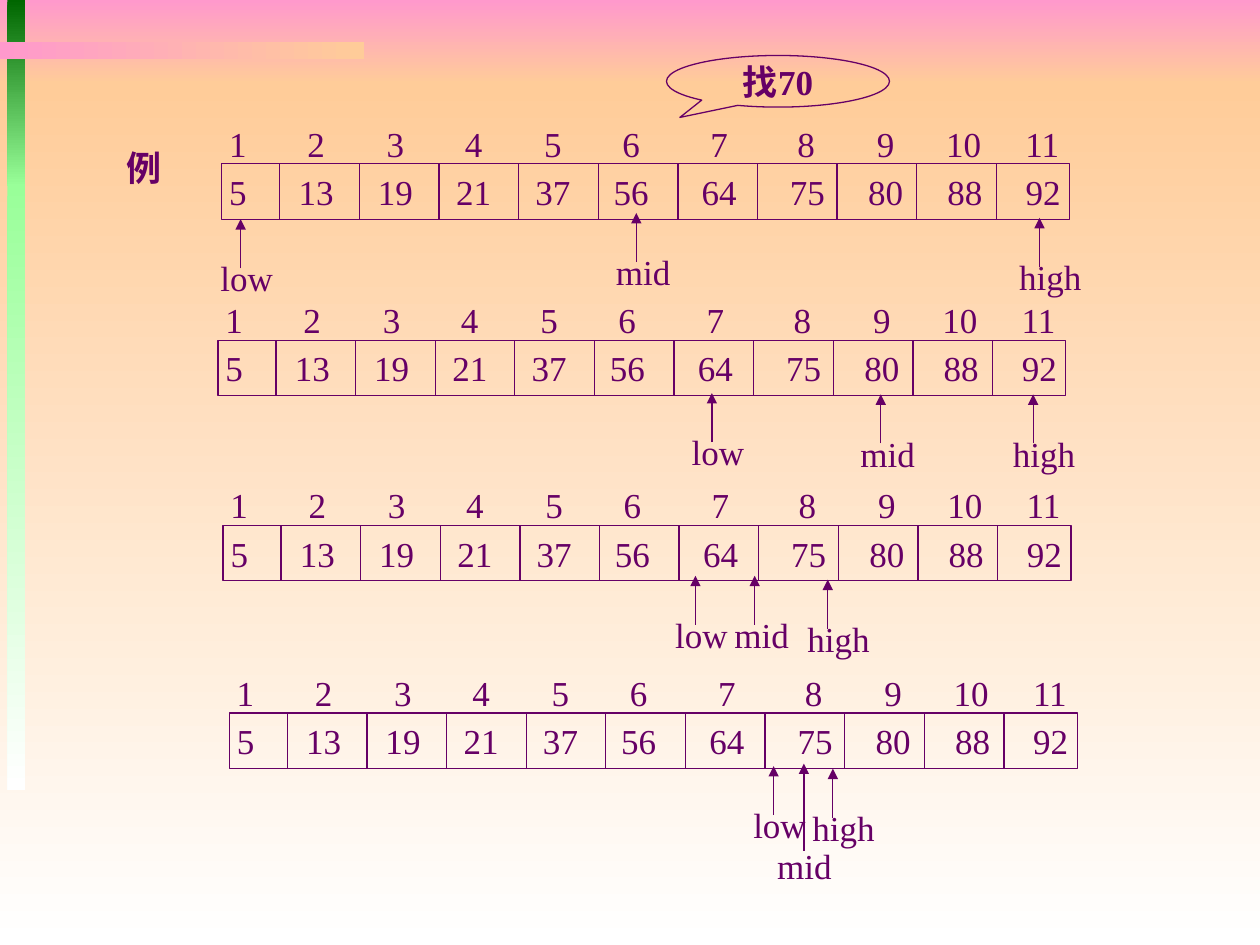
from dataclasses import dataclass

from lxml import etree
from pptx import Presentation
from pptx import util as u
from pptx.dml.color import RGBColor
from pptx.enum import shapes, text
from pptx.oxml import ns

COLORS = {"ink": "660066", "pink": "FF99CC", "peach": "FFCC99", "white": "FFFFFF",
          "green": "006600", "mint": "99FF99"}
FONT = "Times New Roman"
INDEXES = [str(number) for number in range(1, 12)]
INDEX_STOPS = [0.62, 1.25, 1.87, 2.5, 3.12, 3.82, 4.51, 5.14, 5.69, 6.32]
VALUES = ["5", "13", "19", "21", "37", "56", "64", "75", "80", "88", "92"]
VALUE_STOPS = [0.55, 1.18, 1.8, 2.43, 3.05, 3.75, 4.45, 5.07, 5.7, 6.32]
LABEL_WIDTHS = {"low": 0.62, "mid": 0.64, "high": 0.7}
ROW_WIDTH, ROW_HEIGHT = 6.73, 0.44
FIRST_DIVIDER, DIVIDER_STEP = 0.46, 0.632


@dataclass
class Band:
    left: float
    top: float
    width: float
    height: float
    start: str
    end: str
    angle: int = 270


@dataclass
class Pointer:
    name: str
    x: float
    tip: float
    length: float = 0.39
    label_dx: float = -0.26
    label_dy: float = -0.14


@dataclass
class Step:
    left: float
    top: float
    pointers: list[Pointer]


BANDS = [
    Band(0, 0, 10, 0.67, "pink", "peach"),
    Band(0, 0.67, 10, 6.83, "peach", "white"),
    Band(0.06, 0, 0.14, 1.48, "green", "mint"),
    Band(0.06, 1.46, 0.14, 4.81, "mint", "white"),
    Band(0, 0.33, 2.89, 0.14, "pink", "peach", 0),
]
STEPS = [
    Step(1.76, 1.3, [Pointer("low", 1.91, 1.74), Pointer("high", 8.25, 1.73),
                     Pointer("mid", 5.05, 1.69)]),
    Step(1.73, 2.7, [Pointer("low", 5.65, 3.12), Pointer("high", 8.2, 3.13),
                     Pointer("mid", 6.99, 3.13)]),
    Step(1.77, 4.17, [Pointer("low", 5.52, 4.57), Pointer("high", 6.57, 4.6),
                      Pointer("mid", 5.99, 4.57)]),
    Step(1.82, 5.66, [Pointer("low", 6.14, 6.08), Pointer("high", 6.61, 6.1),
                      Pointer("mid", 6.38, 6.06, 0.69, -0.31, -0.1)]),
]


def color(name: str) -> RGBColor:
    return RGBColor.from_string(COLORS[name])


def write(shape, words: str, bold: bool = False, stops: tuple | list = ()) -> None:
    """Fill a shape with one line of text, aligned at tab stops where given."""
    frame = shape.text_frame
    frame.word_wrap = bool(stops)
    para = frame.paragraphs[0]
    if stops:
        tabs = etree.SubElement(para._p.get_or_add_pPr(), ns.qn("a:tabLst"))
        for stop in stops:
            etree.SubElement(tabs, ns.qn("a:tab"), pos=str(u.Inches(stop)), algn="l")
    span = para.add_run()
    span.text = words
    span.font.name = FONT
    span.font.size = u.Pt(20)
    span.font.bold = bold
    span.font.color.rgb = color("ink")


def add_text(page, left: float, top: float, width: float, words: str,
             bold: bool = False, stops: tuple | list = ()) -> None:
    box = page.shapes.add_textbox(u.Inches(left), u.Inches(top),
                                  u.Inches(width), u.Inches(0.44))
    box.text_frame.auto_size = text.MSO_AUTO_SIZE.SHAPE_TO_FIT_TEXT
    write(box, words, bold, stops)


def add_shape(page, kind, left: float, top: float, width: float, height: float):
    shape = page.shapes.add_shape(kind, u.Inches(left), u.Inches(top),
                                  u.Inches(width), u.Inches(height))
    shape.shadow.inherit = False
    return shape


def add_band(page, band: Band) -> None:
    shape = add_shape(page, shapes.MSO_SHAPE.RECTANGLE,
                      band.left, band.top, band.width, band.height)
    shape.line.fill.background()
    shape.fill.gradient()
    shape.fill.gradient_angle = band.angle
    for stop, name in zip(shape.fill.gradient_stops, (band.start, band.end)):
        stop.color.rgb = color(name)


def add_outline(page, kind, left: float, top: float, width: float, height: float):
    """Add an unfilled shape with a thin ink line and middle-anchored text."""
    shape = add_shape(page, kind, left, top, width, height)
    shape.fill.background()
    shape.line.color.rgb = color("ink")
    shape.line.width = u.Pt(0.75)
    shape.text_frame.vertical_anchor = text.MSO_ANCHOR.MIDDLE
    return shape


def add_line(page, x: float, start: float, end: float, arrow: bool = False) -> None:
    line = page.shapes.add_connector(shapes.MSO_CONNECTOR.STRAIGHT, u.Inches(x),
                                     u.Inches(start), u.Inches(x), u.Inches(end))
    line.line.color.rgb = color("ink")
    line.line.width = u.Pt(0.75)
    if arrow:
        etree.SubElement(line.line._get_or_add_ln(), ns.qn("a:tailEnd"), type="triangle")
    etree.SubElement(line._element.spPr, ns.qn("a:effectLst"))


def add_step(page, step: Step) -> None:
    add_text(page, step.left - 0.04, step.top - 0.38, 6.81,
             "\t".join(INDEXES), stops=INDEX_STOPS)
    row = add_outline(page, shapes.MSO_SHAPE.RECTANGLE,
                      step.left, step.top, ROW_WIDTH, ROW_HEIGHT)
    row.text_frame.margin_left = row.text_frame.margin_right = u.Inches(0.06)
    row.text_frame.paragraphs[0].alignment = text.PP_ALIGN.LEFT
    write(row, "\t".join(VALUES), stops=VALUE_STOPS)
    for number in range(len(VALUES) - 1):
        x = step.left + FIRST_DIVIDER + number * DIVIDER_STEP
        add_line(page, x, step.top, step.top + ROW_HEIGHT)
    for pointer in step.pointers:
        foot = pointer.tip + pointer.length
        add_line(page, pointer.x, foot, pointer.tip, arrow=True)
        add_text(page, pointer.x + pointer.label_dx, foot + pointer.label_dy,
                 LABEL_WIDTHS[pointer.name], pointer.name)


def main() -> None:
    deck = Presentation()
    deck.slide_width, deck.slide_height = u.Inches(10), u.Inches(7.5)
    page = deck.slides.add_slide(deck.slide_layouts[6])
    for band in BANDS:
        add_band(page, band)
    add_text(page, 0.91, 1.11, 0.54, "例", bold=True)
    callout = add_outline(page, shapes.MSO_SHAPE.OVAL_CALLOUT, 5.29, 0.44, 1.77, 0.41)
    callout.adjustments[0], callout.adjustments[1] = -0.44, 0.7
    callout.text_frame.paragraphs[0].alignment = text.PP_ALIGN.CENTER
    write(callout, "找70", bold=True)
    for step in STEPS:
        add_step(page, step)
    deck.save("out.pptx")


if __name__ == "__main__":
    main()
